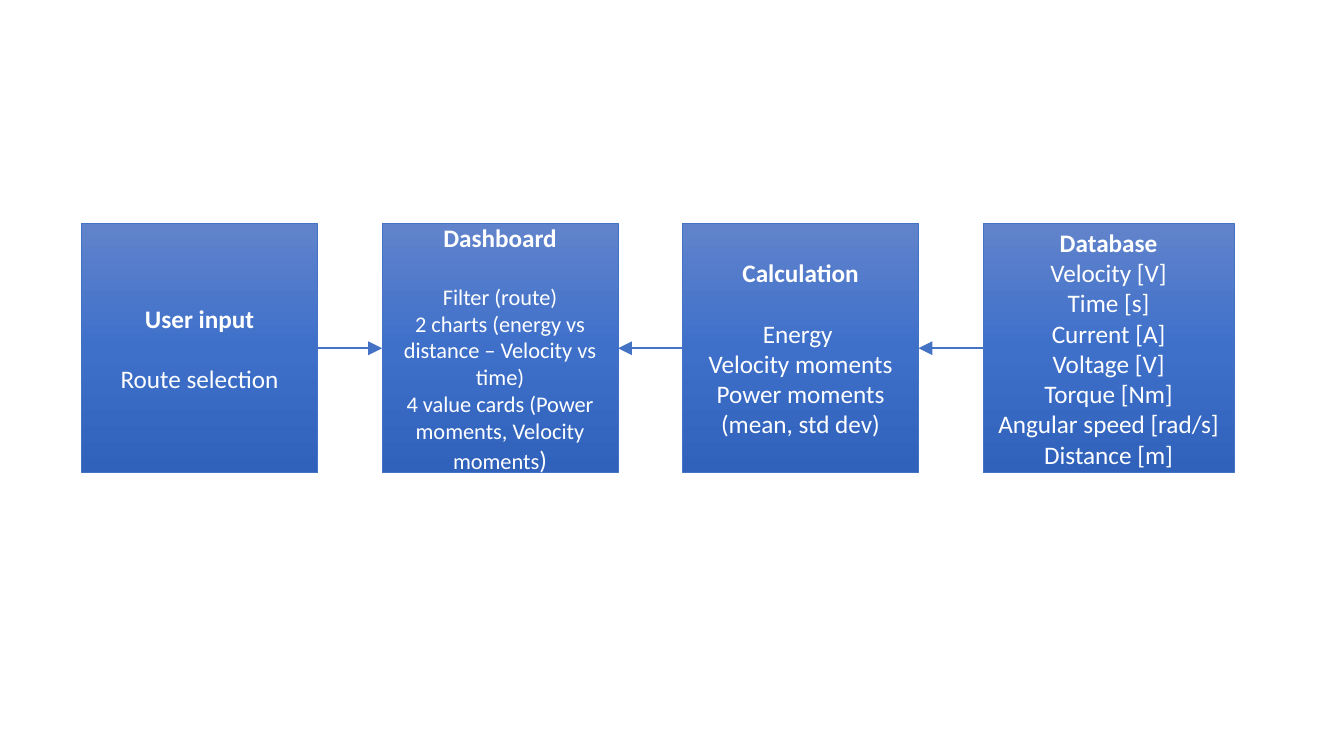
from copy import deepcopy

from pptx import Presentation
from pptx.dml.color import RGBColor
from pptx.enum.shapes import MSO_CONNECTOR as Connector, MSO_SHAPE as Preset
from pptx.enum.text import MSO_ANCHOR as Anchor, PP_ALIGN as Align
from pptx.oxml.ns import qn
from pptx.util import Inches, Pt
from lxml.etree import SubElement

LEFT, TOP, PITCH, HEIGHT = 0.81, 2.22, 2.98, 2.47
LINE_COLOUR = "4472C4"
GRADIENT = [(0, "6183CB"), (0.5, "3E70CA"), (1, "3062BB")]
LEFT_SITE, RIGHT_SITE = 1, 3
STAGES = [
    {"title": "User input", "width": 2.34, "gap": 21.6,
     "lines": [[("Route selection", 18)]]},
    {"title": "Dashboard", "width": 2.34, "gap": 21.6,
     "lines": [[("Filter (route)", 16)],
               [("2 charts (energy vs distance – Velocity vs time)", 16)],
               [("4 value cards (Power moments, Velocity moments", 16), (")", 18)]]},
    {"title": "Calculation", "width": 2.34, "gap": 21.6,
     "lines": [[("Energy ", 18)], [("Velocity moments", 18)],
               [("Power moments (mean, std dev)", 18)]]},
    {"title": "Database", "width": 2.49, "gap": 0,
     "lines": [[(text, 18)] for text in (
         "Velocity [V]", "Time [s]", "Current [A]", "Voltage [V]",
         "Torque [Nm]", "Angular speed [rad/s]", "Distance [m]")]},
]


def colour(hex_text):
    """Return the colour for a hex string."""
    return RGBColor.from_string(hex_text)


def fill_gradient(box):
    """Fill a box with the three-stop gradient from top to bottom."""
    box.fill.gradient()
    box.fill.gradient_angle = 270
    stop_list = box.element.spPr.find(qn("a:gradFill")).find(qn("a:gsLst"))
    stop_list.append(deepcopy(stop_list[-1]))
    for stop, (position, shade) in zip(box.fill.gradient_stops, GRADIENT):
        stop.position = position
        stop.color.rgb = colour(shade)


def write_line(para, spans, bold=False):
    """Write centred white text spans into a paragraph."""
    para.alignment = Align.CENTER
    for text, size in spans:
        span = para.add_run()
        span.text = text
        for name, value in {"name": "Calibri", "size": Pt(size), "bold": bold}.items():
            setattr(span.font, name, value)
        span.font.color.rgb = colour("FFFFFF")


def add_stage(page, column, stage):
    """Add the box of one stage at its column."""
    box = page.shapes.add_shape(
        Preset.RECTANGLE, Inches(LEFT + column * PITCH), Inches(TOP),
        Inches(stage["width"]), Inches(HEIGHT))
    box.shadow.inherit = False
    fill_gradient(box)
    box.line.color.rgb = colour(LINE_COLOUR)
    box.line.width = Pt(0.5)
    frame = box.text_frame
    frame.word_wrap = True
    frame.vertical_anchor = Anchor.MIDDLE
    heading = frame.paragraphs[0]
    write_line(heading, [(stage["title"], 18)], bold=True)
    heading.space_after = Pt(stage["gap"])
    for spans in stage["lines"]:
        write_line(frame.add_paragraph(), spans)
    return box


def add_arrow(page, source, source_site, target, target_site):
    """Connect two boxes with an arrow pointing at the target."""
    arrow = page.shapes.add_connector(Connector.STRAIGHT, 0, 0, 0, 0)
    arrow.begin_connect(source, source_site)
    arrow.end_connect(target, target_site)
    arrow.line.color.rgb = colour(LINE_COLOUR)
    arrow.line.width = Pt(1.5)
    outline = arrow.element.spPr.find(qn("a:ln"))
    SubElement(outline, qn("a:tailEnd"), type="triangle", w="lg", len="lg")
    SubElement(arrow.element.spPr, qn("a:effectLst"))


def main():
    """Build the data flow slide."""
    deck = Presentation()
    deck.slide_width, deck.slide_height = Inches(13.33), Inches(7.5)
    page = deck.slides.add_slide(deck.slide_layouts[6])
    user, dashboard, calculation, database = [
        add_stage(page, column, stage) for column, stage in enumerate(STAGES)]
    add_arrow(page, user, RIGHT_SITE, dashboard, LEFT_SITE)
    add_arrow(page, calculation, LEFT_SITE, dashboard, RIGHT_SITE)
    add_arrow(page, database, LEFT_SITE, calculation, RIGHT_SITE)
    deck.save("out.pptx")


if __name__ == "__main__":
    main()
